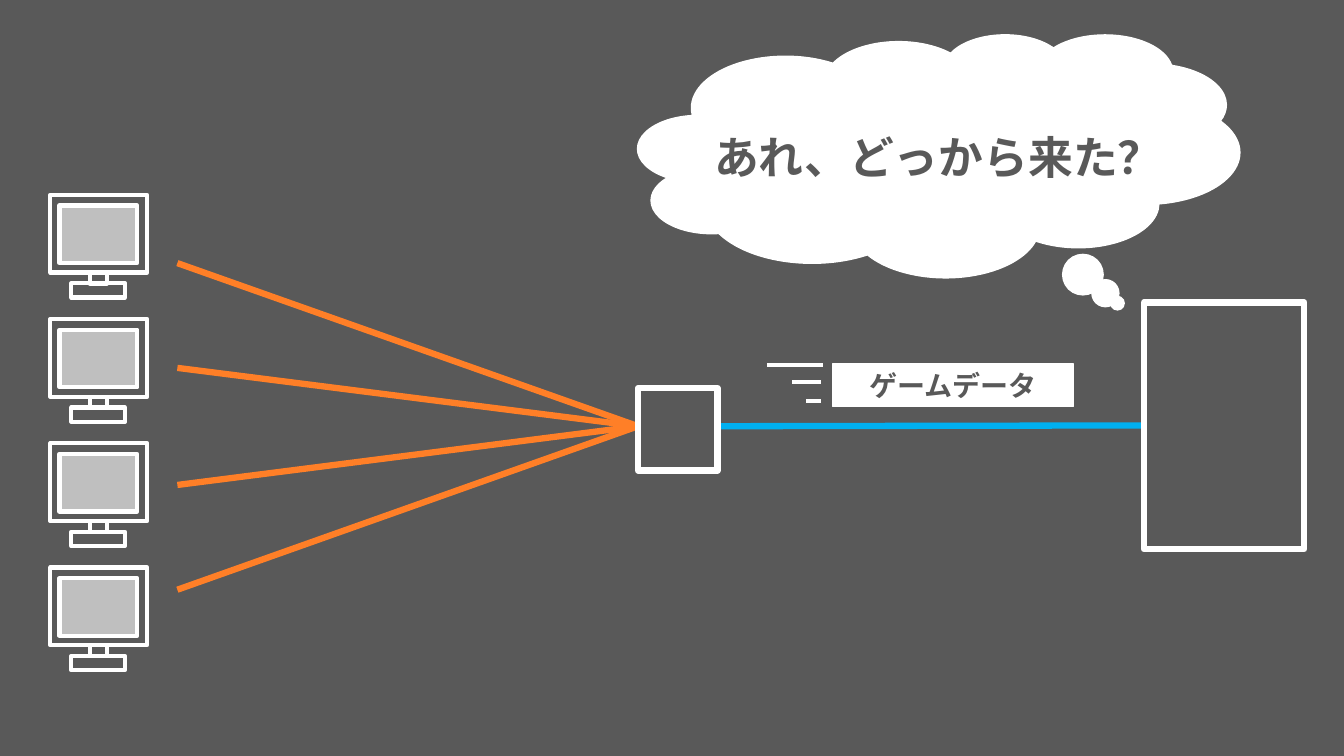
import dataclasses

import pptx
import pptx.chart.data
import pptx.dml.color
import pptx.enum.shapes
import pptx.enum.text
import pptx.oxml
import pptx.oxml.ns
import pptx.util

Cm = pptx.util.Cm
Pt = pptx.util.Pt
Kind = pptx.enum.shapes.MSO_SHAPE


@dataclasses.dataclass(frozen=True)
class Theme:
    back: str = "595959"
    white: str = "FFFFFF"
    screen: str = "BFBFBF"
    orange: str = "FF7F27"
    blue: str = "00B0F0"
    font: str = "Noto Sans CJK JP"
    label: int = 20
    speech: int = 32
    thin: float = 1
    mid: float = 3
    thick: float = 4.5


THEME = Theme()


def color(code):
    return pptx.dml.color.RGBColor.from_string(code)


def add_box(shapes, box, width, fill=None, kind=Kind.RECTANGLE):
    """Add a white-edged shape; without a fill it is hollow."""
    shape = shapes.add_shape(kind, *map(Cm, box))
    shape.shadow.inherit = False
    if fill:
        shape.fill.solid()
        shape.fill.fore_color.rgb = color(fill)
    else:
        shape.fill.background()
    shape.line.color.rgb = color(THEME.white)
    shape.line.width = Pt(width)
    return shape


def add_line(shapes, start, end, code, width):
    line = shapes.add_connector(
        pptx.enum.shapes.MSO_CONNECTOR.STRAIGHT, *map(Cm, start + end))
    line.line.color.rgb = color(code)
    line.line.width = Pt(width)
    props = line._element.spPr
    props.append(pptx.oxml.parse_xml(
        "<a:effectLst %s/>" % pptx.oxml.ns.nsdecls("a")))


def set_text(shape, text, size):
    frame = shape.text_frame
    frame.text = text
    frame.word_wrap = False
    frame.vertical_anchor = pptx.enum.text.MSO_ANCHOR.MIDDLE
    para = frame.paragraphs[0]
    para.alignment = pptx.enum.text.PP_ALIGN.CENTER
    run = para.runs[0]
    run.font.size = Pt(size)
    run.font.bold = True
    run.font.name = THEME.font
    run.font.color.rgb = color(THEME.back)
    east = pptx.oxml.parse_xml('<a:ea %s typeface="%s"/>' % (
        pptx.oxml.ns.nsdecls("a"), THEME.font))
    run.font._element.find(pptx.oxml.ns.qn("a:latin")).addnext(east)


def add_client(shapes, left, top):
    """Add one desktop computer: case, neck, foot and screen."""
    group = shapes.add_group_shape().shapes
    parts = [
        (0, 0, 2.44, 1.96, None),
        (0.99, 1.96, 0.43, 0.28, None),
        (0.53, 2.23, 1.35, 0.36, None),
        (0.23, 0.27, 1.96, 1.45, THEME.screen),
    ]
    for x, y, wide, high, fill in parts:
        add_box(group, (left + x, top + y, wide, high), THEME.mid, fill)


def add_packet(shapes):
    """Add the data label with its speed lines."""
    label = add_box(shapes, (20.98, 9.17, 6.07, 1.07), THEME.thin, THEME.white)
    set_text(label, "ゲームデータ", THEME.label)
    for left, right, y in [(19.33, 20.73, 9.19), (19.96, 20.7, 9.63),
                           (20.32, 20.7, 10.11)]:
        add_line(shapes, (left, y), (right, y), THEME.white, THEME.mid)


def add_cloud(shapes):
    """Add the server's thought."""
    cloud = add_box(shapes, (16.08, 0.86, 15.16, 6.12), THEME.thin,
                    THEME.white, Kind.CLOUD_CALLOUT)
    cloud.adjustments[0] = 0.297
    cloud.adjustments[1] = 0.608
    words = shapes.add_textbox(*map(Cm, (17.7, 3.12, 11.91, 1.63)))
    set_text(words, "あれ、どっから来た？", THEME.speech)


def main():
    deck = pptx.Presentation()
    deck.slide_width, deck.slide_height = Cm(33.87), Cm(19.05)
    slide = deck.slides.add_slide(deck.slide_layouts[6])
    slide.background.fill.solid()
    slide.background.fill.fore_color.rgb = color(THEME.back)
    shapes = slide.shapes

    hub = (16.08, 10.74)
    add_line(shapes, (18.07, 10.74), (28.83, 10.72), THEME.blue, THEME.thick)
    for y in (6.63, 9.27, 12.22, 14.86):
        add_line(shapes, (4.47, y), hub, THEME.orange, THEME.thick)
    add_box(shapes, (16.08, 9.78, 2, 2.08), THEME.thick)

    add_packet(shapes)
    add_cloud(shapes)
    for row in range(4):
        add_client(shapes, 1.27, 4.91 + 3.13 * row)
    add_box(shapes, (28.83, 7.62, 4.04, 6.22), THEME.thick)
    deck.save("out.pptx")


if __name__ == "__main__":
    main()
